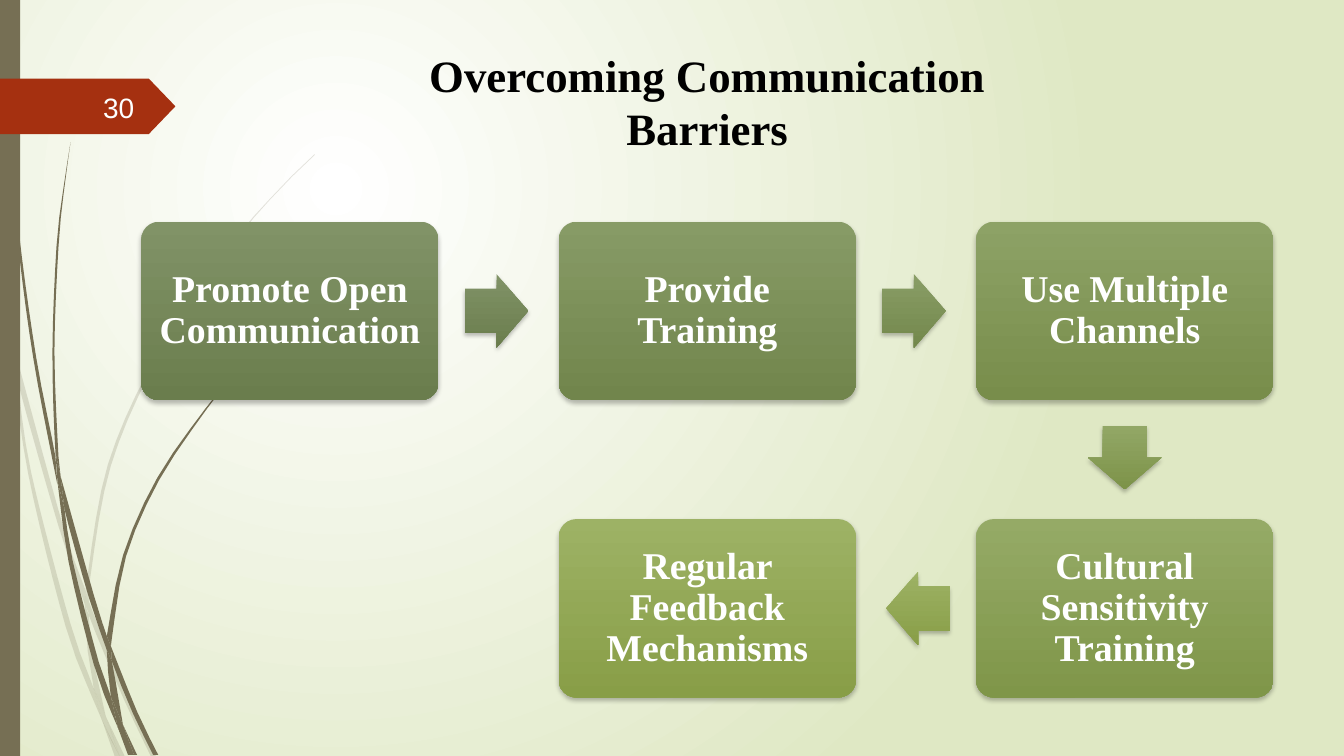
import math

import pptx
import pptx.dml.color
import pptx.enum.shapes
import pptx.enum.text
import pptx.oxml.ns
import pptx.util
from lxml import etree

Inches = pptx.util.Inches
Pt = pptx.util.Pt
SHAPES = pptx.enum.shapes.MSO_SHAPE
ALIGN = pptx.enum.text.PP_ALIGN
ANCHOR = pptx.enum.text.MSO_ANCHOR
qn = pptx.oxml.ns.qn

OLIVE = "766F54"
SERIF = "Times New Roman"

FAINT_BLADES = [
    ([(0, 2.99), (.1, 3.44), (.11, 3.5)], [(0, 2.82), (.09, 3.22), (.11, 3.5)]),
    ([(.14, 3.45), (.17, 3.76), (.58, 5.22), (.84, 5.99)], [(.14, 3.45), (.62, 5.2), (.85, 5.86)]),
    ([(.88, 5.96), (.88, 6.1), (1.23, 6.94), (1.5, 7.51)], [(.88, 5.96), (.92, 6.07), (1.27, 6.92), (1.55, 7.51)]),
    ([(1.05, 7.11), (1.19, 7.51)], [(1.05, 7.11), (1.24, 7.51)]),
    ([(.11, 3.5), (.28, 4.7), (.65, 6.21), (.92, 6.93), (1.01, 7.14)],
     [(.11, 3.5), (.17, 3.76), (.31, 4.69), (.7, 6.19), (.93, 6.83), (1.01, 7.14)]),
    ([(.84, 5.99), (.87, 6.46), (.93, 6.83), (1.05, 7.11)], [(.84, 5.99), (.88, 6.1), (.91, 6.46), (1.05, 7.11)]),
    ([(3.12, 1.53), (2.89, 1.75), (2.68, 1.97), (2.28, 2.44), (1.58, 3.48), (1.07, 4.61), (.85, 5.84)],
     [(3.12, 1.54), (2.9, 1.75), (2.68, 1.98), (2.29, 2.45), (1.6, 3.49), (1.1, 4.62), (.88, 5.84), (.88, 5.96)]),
    ([(1.01, 7.14), (1.14, 7.51)], [(1.01, 7.14), (1.19, 7.51)]),
    ([(.85, 5.86), (.84, 5.99), (.88, 6.08)], [(.85, 5.86), (.88, 5.96), (.88, 6.1)]),
    ([(.93, 6.83), (1.01, 7.14), (1.19, 7.51)], [(.93, 6.83), (1.05, 7.11), (1.19, 7.51)]),
]
DARK_BLADES = [
    ([(.03, 0), (.07, 1.1), (.17, 2.33), (.33, 3.55), (.57, 4.81)],
     [(.04, 0), (.08, 1.09), (.19, 2.32), (.36, 3.55), (.55, 4.53), (.57, 4.81)]),
    ([(.6, 4.72), (.64, 5.05), (.88, 5.92), (1.06, 6.45)], [(.6, 4.72), (.93, 5.9), (1.06, 6.31)]),
    ([(1.1, 6.41), (1.11, 6.56), (1.32, 7.08), (1.52, 7.49)], [(1.1, 6.41), (1.36, 7.06), (1.57, 7.49)]),
    ([(.57, 4.77), (.68, 5.57), (.93, 6.59), (1.11, 7.08), (1.17, 7.22)],
     [(.57, 4.77), (.64, 5.05), (.72, 5.56), (.98, 6.57), (1.1, 6.91), (1.17, 7.22)]),
    ([(.7, 1.41), (.62, 1.93), (.56, 2.45), (.52, 3.49), (.55, 4.49), (.6, 4.72)],
     [(.7, 1.41), (.63, 1.93), (.58, 2.45), (.54, 3.49), (.58, 4.53), (.6, 4.72)]),
    ([(1.22, 7.19), (1.33, 7.49)], [(1.22, 7.19), (1.36, 7.49)]),
    ([(.55, 4.49), (.57, 4.77), (.64, 5.05)], [(.55, 4.49), (.6, 4.72), (.64, 5.05)]),
    ([(2.6, 3.44), (2.31, 3.73), (2.04, 4.05), (1.56, 4.74), (1.22, 5.51), (1.06, 6.31)],
     [(2.61, 3.44), (2.31, 3.74), (2.05, 4.06), (1.58, 4.76), (1.25, 5.52), (1.11, 6.33), (1.1, 6.41)]),
    ([(1.17, 7.22), (1.27, 7.49)], [(1.17, 7.22), (1.31, 7.49)]),
    ([(1.06, 6.45), (1.1, 6.91), (1.22, 7.19)], [(1.06, 6.45), (1.11, 6.56), (1.22, 7.19)]),
    ([(1.06, 6.31), (1.06, 6.45), (1.11, 6.56)], [(1.06, 6.31), (1.1, 6.41), (1.11, 6.56)]),
    ([(1.1, 6.91), (1.17, 7.22), (1.3, 7.49)], [(1.1, 6.91), (1.22, 7.19), (1.33, 7.49)]),
]

STEPS = [
    ("Promote Open Communication", 0, 0, ("819367", "6A7D4D")),
    ("Provide Training", 1, 0, ("879B66", "71854C")),
    ("Use Multiple Channels", 2, 0, ("8DA266", "788D4B")),
    ("Cultural Sensitivity Training", 2, 1, ("95AA66", "7F9649")),
    ("Regular Feedback Mechanisms", 1, 1, ("9DB265", "889E47")),
]
ARROW_SHADES = [("819367", "6A7D4D"), ("899D66", "73884C"), ("92A766", "7D9349"), ("9DB265", "889E47")]


def rgb(value):
    return pptx.dml.color.RGBColor.from_string(value)


def paint(shape, color):
    shape.shadow.inherit = False
    shape.fill.solid()
    shape.fill.fore_color.rgb = rgb(color)
    shape.line.fill.background()


def shade(fill, colors):
    fill.gradient()
    for stop, position, color in zip(fill.gradient_stops, (0, 1), colors):
        stop.position = position
        stop.color.rgb = rgb(color)


def paint_raised(shape, colors):
    shade(shape.fill, colors)
    shape.fill.gradient_angle = 270
    shape.element.spPr.find(qn("a:gradFill")).set("rotWithShape", "0")
    shape.line.fill.background()
    shape.shadow.inherit = False
    effects = shape.element.spPr.find(qn("a:effectLst"))
    shadow = etree.SubElement(effects, qn("a:outerShdw"), blurRad=str(Pt(3)), dist=str(Pt(2)),
                              dir="5400000", algn="ctr", rotWithShape="0")
    black = etree.SubElement(shadow, qn("a:srgbClr"), val="000000")
    etree.SubElement(black, qn("a:alpha"), val="25000")


def write(frame, text, size, color, font, align, anchor, bold=False):
    frame.word_wrap = True
    frame.vertical_anchor = anchor
    paragraph = frame.paragraphs[0]
    paragraph.alignment = align
    run = paragraph.add_run()
    run.text = text
    run.font.size = Pt(size)
    run.font.name = font
    run.font.bold = bold
    run.font.color.rgb = rgb(color)
    return paragraph


def smooth(points):
    curve = []
    padded = [points[0], *points, points[-1]]
    for a, b, c, d in zip(padded, padded[1:], padded[2:], padded[3:]):
        samples = max(1, round(math.dist(b, c) * 4))
        for i in range(samples):
            t = i / samples
            curve.append(tuple(
                q + t / 2 * (r - p + t * (2 * p - 5 * q + 4 * r - s + t * (3 * (q - r) + s - p)))
                for p, q, r, s in zip(a, b, c, d)))
    return curve + [points[-1]]


def add_background(slide):
    shade(slide.background.fill, ("FFFFFF", "DFE8C4"))
    direction = next(slide.element.iter(qn("a:lin")))
    radial = etree.Element(qn("a:path"), path="circle")
    etree.SubElement(radial, qn("a:fillToRect"), l="50000", t="50000", r="100000", b="100000")
    direction.getparent().replace(direction, radial)


def add_blades(slide, left, top, blades, opacity):
    for near_edge, far_edge in blades:
        outline = [(Inches(left + x), Inches(top + y))
                   for x, y in smooth(near_edge) + smooth(far_edge)[::-1]]
        builder = slide.shapes.build_freeform(*outline[0])
        builder.add_line_segments(outline[1:], close=True)
        blade = builder.convert_to_shape()
        paint(blade, OLIVE)
        if opacity < 100:
            tint = next(blade.element.spPr.iter(qn("a:srgbClr")))
            etree.SubElement(tint, qn("a:alpha"), val=str(opacity * 1000))


def add_side_bar(slide, left, top, width, height):
    bar = slide.shapes.add_shape(SHAPES.RECTANGLE, Inches(left), Inches(top), Inches(width), Inches(height))
    paint(bar, OLIVE)


def add_page_tag(slide, left, top, width, height, number):
    tag = slide.shapes.add_shape(SHAPES.PENTAGON, Inches(left), Inches(top), Inches(width), Inches(height))
    tag.adjustments[0] = 0.48
    paint(tag, "A53010")
    page = slide.shapes.add_textbox(Inches(left + .58), Inches(top + .08), Inches(.85), Inches(.4))
    write(page.text_frame, number, 20, "FEFFFF", "Arial", ALIGN.RIGHT, ANCHOR.MIDDLE)


def add_title(slide, left, top, width, height, text):
    title = slide.shapes.title
    title.left, title.top, title.width, title.height = map(Inches, (left, top, width, height))
    write(title.text_frame, text, 32, "000000", SERIF, ALIGN.CENTER, ANCHOR.TOP, True)
    title.text_frame.auto_size = pptx.enum.text.MSO_AUTO_SIZE.NONE


def add_step(slide, left, top, width, height, text, colors):
    step = slide.shapes.add_shape(SHAPES.ROUNDED_RECTANGLE, Inches(left), Inches(top), Inches(width), Inches(height))
    step.adjustments[0] = 0.1
    paint_raised(step, colors)
    frame = step.text_frame
    frame.margin_left = frame.margin_right = frame.margin_top = frame.margin_bottom = Inches(.11)
    write(frame, text, 27, "FFFFFF", SERIF, ALIGN.CENTER, ANCHOR.MIDDLE, True).line_spacing = 0.9


def add_step_arrow(slide, start, end, colors):
    length, thickness, setback = .63, .73, .02
    angle = math.atan2(end[1] - start[1], end[0] - start[0])
    center_x = (start[0] + end[0]) / 2 - setback * math.cos(angle)
    center_y = (start[1] + end[1]) / 2 - setback * math.sin(angle)
    arrow = slide.shapes.add_shape(SHAPES.RIGHT_ARROW, Inches(center_x - length / 2),
                                   Inches(center_y - thickness / 2), Inches(length), Inches(thickness))
    arrow.adjustments[0] = 0.6
    arrow.rotation = math.degrees(angle)
    paint_raised(arrow, colors)


def add_process(slide, left, top, width, height):
    step_width, step_height = 2.95, 1.77
    pitch_x, pitch_y = (width - step_width) / 2, height - step_height
    corners = [(left + column * pitch_x, top + row * pitch_y) for _, column, row, _ in STEPS]
    centers = [(x + step_width / 2, y + step_height / 2) for x, y in corners]
    for (text, _, _, colors), corner in zip(STEPS, corners):
        add_step(slide, *corner, step_width, step_height, text, colors)
    for start, end, colors in zip(centers, centers[1:], ARROW_SHADES):
        add_step_arrow(slide, start, end, colors)


def main():
    deck = pptx.Presentation()
    deck.slide_width, deck.slide_height = Inches(13.33), Inches(7.5)
    slide = deck.slides.add_slide(deck.slide_layouts[5])
    add_background(slide)
    add_blades(slide, 0, 0, FAINT_BLADES, 20)
    add_blades(slide, 0, 0, DARK_BLADES, 100)
    add_side_bar(slide, 0, 0, .2, 7.5)
    add_page_tag(slide, 0, .78, 1.74, .55, "30")
    add_title(slide, 3.43, .42, 7.17, 1.18, "Overcoming Communication Barriers")
    add_process(slide, 1.4, 2.2, 11.23, 4.72)
    deck.save("out.pptx")


if __name__ == "__main__":
    main()
